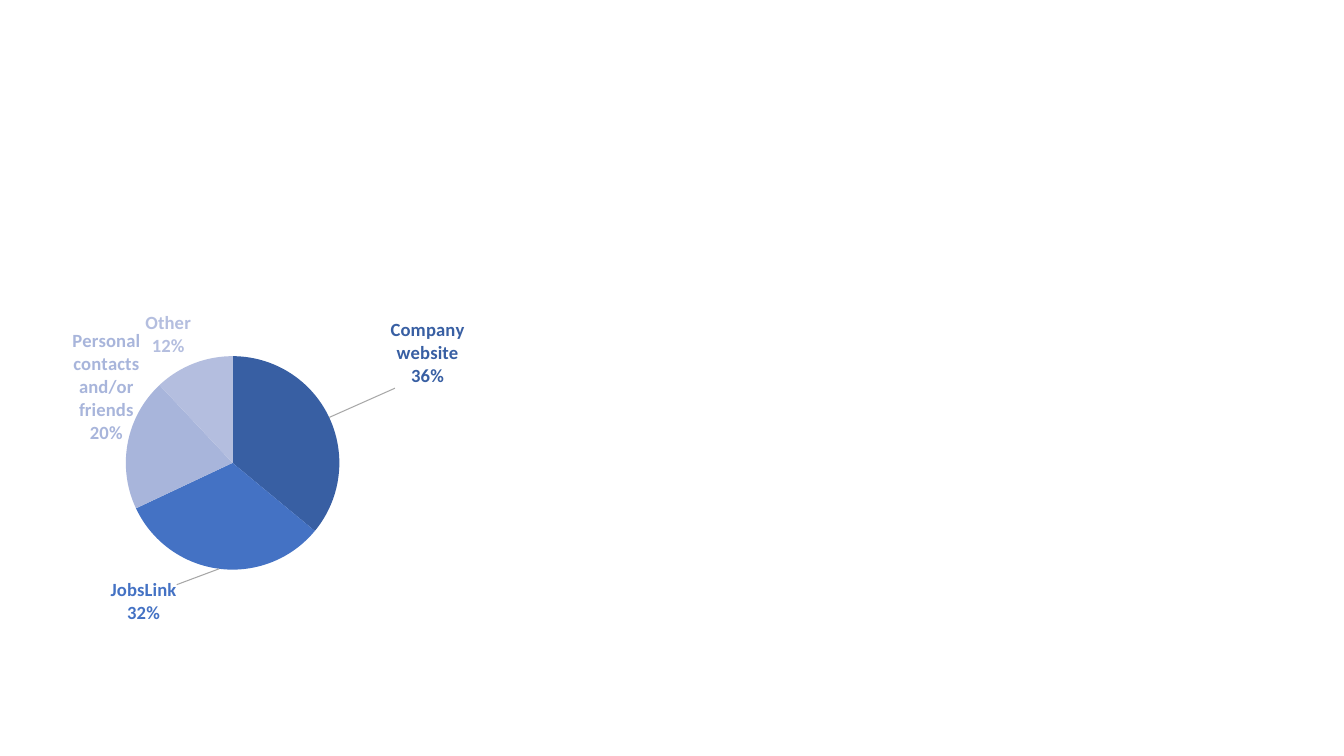
from dataclasses import dataclass

from lxml import etree
from pptx import Presentation
from pptx.chart.chart import Chart
from pptx.chart.data import CategoryChartData
from pptx.dml.color import RGBColor
from pptx.enum.chart import XL_CHART_TYPE, XL_LABEL_POSITION
from pptx.oxml import parse_xml
from pptx.oxml.ns import nsdecls, qn
from pptx.util import Inches, Pt

PIE = XL_CHART_TYPE.PIE
OUTSIDE_END = XL_LABEL_POSITION.OUTSIDE_END
BLANK_LAYOUT = 6
LABEL_FONT = {"name": "Calibri", "size": Pt(13.3), "bold": True}
LABEL_FLAGS = {
    "show_legend_key": False,
    "show_value": False,
    "show_category_name": True,
    "show_series_name": False,
    "show_percentage": True,
    "position": OUTSIDE_END,
    "number_format": "0%",
    "number_format_is_linked": False,
}
POINT_FLAGS = {"showVal": "0", "showCatName": "1", "showSerName": "0", "showPercent": "1"}
PLOT_AREA = {"x": 0.254, "y": 0.197, "w": 0.493, "h": 0.638}


@dataclass(frozen=True)
class Slice:
    name: str
    percent: int
    color: str
    label_shift: tuple[float, float] = (0, 0)


SLICES = [
    Slice("Company website", 36, "385FA3", (0.13, -0.08)),
    Slice("JobsLink", 32, "4472C4", (-0.09, 0.03)),
    Slice("Personal contacts and/or friends", 20, "A8B5DB", (0.04, 0.01)),
    Slice("Other", 12, "B4BEDF"),
]


def rgb(color: str) -> RGBColor:
    return RGBColor.from_string(color)


def apply_format(target: object, values: dict) -> None:
    for name, value in values.items():
        setattr(target, name, value)


def make_layout(values: dict, inner: bool = False) -> etree._Element:
    """Manual chart layout, in fractions of the chart size."""
    layout = parse_xml(f"<c:layout {nsdecls('c')}><c:manualLayout/></c:layout>")
    settings = dict(values)
    if inner:
        settings = {"layoutTarget": "inner", "xMode": "edge", "yMode": "edge", **values}
    for tag, value in settings.items():
        etree.SubElement(layout[0], qn(f"c:{tag}")).set("val", str(value))
    return layout


def place_plot(chart: Chart) -> None:
    plot_area = chart.plots[0]._element.getparent()
    for old_layout in plot_area.findall(qn("c:layout")):
        plot_area.remove(old_layout)
    plot_area.insert(0, make_layout(PLOT_AREA, inner=True))


def format_slice(chart: Chart, index: int, item: Slice) -> None:
    point = chart.plots[0].series[0].points[index]
    point.format.fill.solid()
    point.format.fill.fore_color.rgb = rgb(item.color)
    point.format.line.fill.background()

    label = point.data_label
    apply_format(label.font, LABEL_FONT)
    label.font.color.rgb = rgb(item.color)
    label.position = OUTSIDE_END
    element = chart.plots[0].series[0]._element.find(qn("c:dLbls")).findall(qn("c:dLbl"))[index]
    for tag, value in POINT_FLAGS.items():
        element.find(qn(f"c:{tag}")).set("val", value)
    if any(item.label_shift):
        element.insert(1, make_layout(dict(zip("xy", item.label_shift))))


def add_leader_lines(chart: Chart) -> None:
    labels = chart.plots[0].series[0]._element.find(qn("c:dLbls"))
    for tag in ("showLeaderLines", "leaderLines"):
        for old in labels.findall(qn(f"c:{tag}")):
            labels.remove(old)
    etree.SubElement(labels, qn("c:showLeaderLines")).set("val", "1")
    labels.append(parse_xml(
        f"<c:leaderLines {nsdecls('c', 'a')}><c:spPr><a:ln w='9525'><a:solidFill>"
        "<a:srgbClr val='A6A6A6'/></a:solidFill></a:ln></c:spPr></c:leaderLines>"
    ))


def main() -> None:
    presentation = Presentation()
    presentation.slide_width = Inches(13.33)
    presentation.slide_height = Inches(7.5)
    slide = presentation.slides.add_slide(presentation.slide_layouts[BLANK_LAYOUT])

    # Chart data
    data = CategoryChartData()
    data.categories = [item.name for item in SLICES]
    data.add_series("Series 1", [item.percent for item in SLICES])

    # Pie chart
    frame = slide.shapes.add_chart(
        PIE, Inches(0), Inches(2.88), Inches(4.61), Inches(3.32), data
    )
    chart = frame.chart
    apply_format(chart, {"has_title": False, "has_legend": False})
    apply_format(chart.font, {"name": "Calibri", "size": Pt(10)})
    chart.font.color.rgb = rgb("000000")
    chart.plots[0].vary_by_categories = True
    place_plot(chart)

    # Slices and their labels
    labels = chart.plots[0].series[0].data_labels
    apply_format(labels, LABEL_FLAGS)
    apply_format(labels.font, LABEL_FONT)
    for index, item in enumerate(SLICES):
        format_slice(chart, index, item)
    add_leader_lines(chart)

    presentation.save("out.pptx")


if __name__ == "__main__":
    main()
